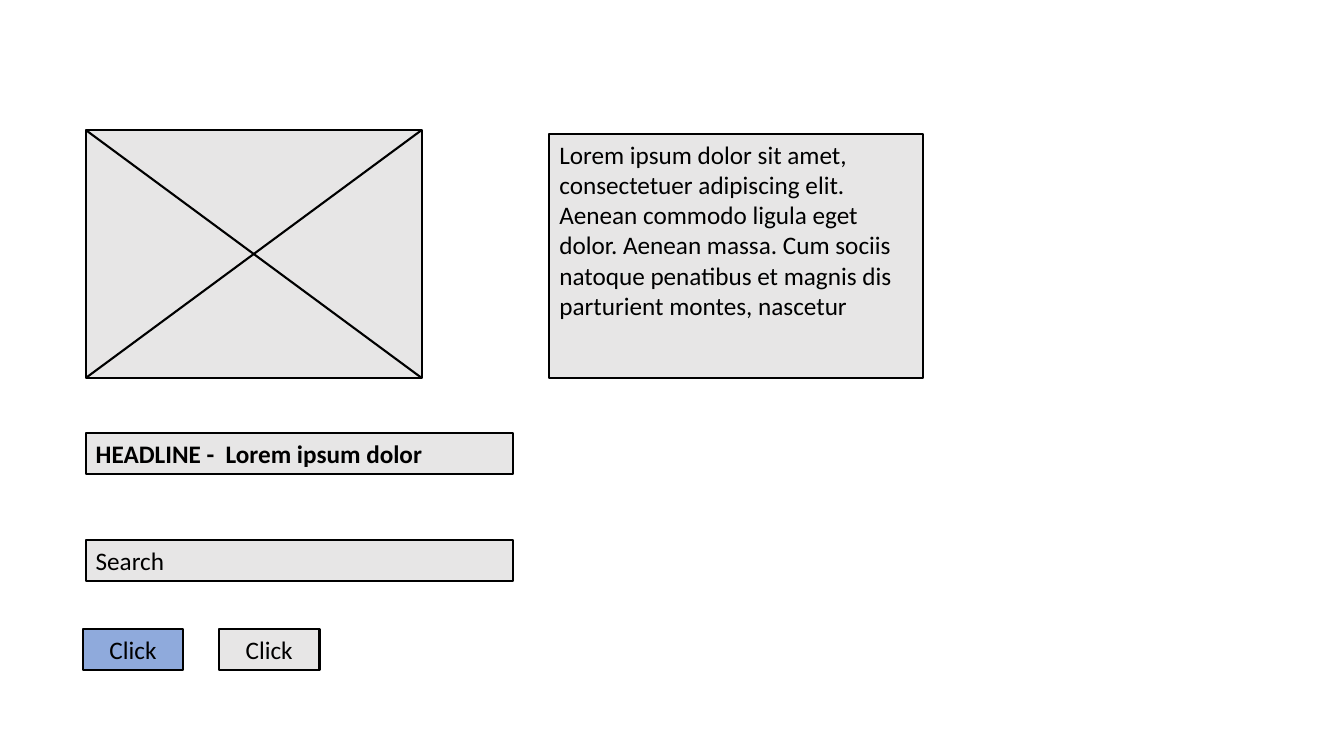
from lxml import etree
from pptx import Presentation
from pptx.dml.color import RGBColor
from pptx.enum.shapes import MSO_CONNECTOR, MSO_SHAPE
from pptx.enum.text import MSO_ANCHOR, MSO_AUTO_SIZE, PP_ALIGN
from pptx.oxml.ns import qn
from pptx.util import Inches, Pt

RECTANGLE = MSO_SHAPE.RECTANGLE
STRAIGHT = MSO_CONNECTOR.STRAIGHT
TOP = MSO_ANCHOR.TOP
FIT = MSO_AUTO_SIZE.SHAPE_TO_FIT_TEXT
FIXED = MSO_AUTO_SIZE.NONE
LEFT, CENTER = PP_ALIGN.LEFT, PP_ALIGN.CENTER

SLIDE_WIDTH, SLIDE_HEIGHT = Inches(13.333), Inches(7.5)
COLUMN, ROW = SLIDE_WIDTH / 100, SLIDE_HEIGHT / 100
BLANK_LAYOUT = 6
BLACK, GREY, BLUE = "000000", "E7E6E6", "8FAADC"
MARGIN = 6.38
FIELD_WIDTH, FIELD_HEIGHT = 31.8, 5.39
BUTTON_LEFT, BUTTON_TOP, BUTTON_WIDTH, BUTTON_STEP = 6.15, 83.2, 7.5, 10.13
BODY = (
    "Lorem ipsum dolor sit amet, consectetuer adipiscing elit. Aenean commodo "
    "ligula eget dolor. Aenean massa. Cum sociis natoque penatibus et magnis dis "
    "parturient montes, nascetur"
)


def color(value):
    """Return the colour for a hex string."""
    return RGBColor.from_string(value)


def on_grid(left, top, width, height):
    """Convert columns and rows to slide lengths."""
    return [round(n * unit) for n, unit in
            zip((left, top, width, height), (COLUMN, ROW, COLUMN, ROW))]


def apply_format(target, values):
    """Set every attribute named in a dict."""
    for name, value in values.items():
        setattr(target, name, value)


def outline(shape):
    """Give a shape or connector the wireframe line."""
    shape.line.color.rgb = color(BLACK)
    shape.line.width = Pt(1.5)


def add_box(shapes, area, fill=GREY):
    """Add an outlined rectangle on the grid."""
    shape = shapes.add_shape(RECTANGLE, *on_grid(*area))
    shape.shadow.inherit = False
    shape.fill.solid()
    shape.fill.fore_color.rgb = color(fill)
    outline(shape)
    return shape


def add_text_box(shapes, area, text, fill=GREY, alignment=LEFT, bold=False, auto_size=FIT):
    """Add a box with one paragraph of text."""
    frame = add_box(shapes, area, fill).text_frame
    apply_format(frame, {"word_wrap": True, "auto_size": auto_size, "vertical_anchor": TOP})
    paragraph = frame.paragraphs[0]
    paragraph.alignment = alignment
    run = paragraph.add_run()
    run.text = text
    apply_format(run.font, {"name": "Calibri", "size": Pt(18), "bold": bold})
    run.font.color.rgb = color(BLACK)


def add_image_placeholder(shapes, area):
    """Add a grouped box crossed by its two diagonals."""
    group = shapes.add_group_shape()
    add_box(group.shapes, area)
    left, top, width, height = on_grid(*area)
    right, bottom = left + width, top + height
    for start, end in ((left, right), (right, left)):
        diagonal = group.shapes.add_connector(STRAIGHT, start, top, end, bottom)
        outline(diagonal)
        etree.SubElement(diagonal.line._get_or_add_ln().getparent(), qn("a:effectLst"))


def main():
    """Build and save the wireframe slide."""
    presentation = Presentation()
    apply_format(presentation, {"slide_width": SLIDE_WIDTH, "slide_height": SLIDE_HEIGHT})
    slide = presentation.slides.add_slide(presentation.slide_layouts[BLANK_LAYOUT])
    shapes = slide.shapes
    add_image_placeholder(shapes, (MARGIN, 17.2, 25, 32.8))
    add_text_box(shapes, (40.88, 17.73, 27.83, 32.27), BODY, auto_size=FIXED)
    for top, text, bold in ((57.33, "HEADLINE -  Lorem ipsum dolor", True),
                            (71.47, "Search", False)):
        add_text_box(shapes, (MARGIN, top, FIELD_WIDTH, FIELD_HEIGHT), text, bold=bold)
    for index, fill in enumerate((BLUE, GREY)):
        left = BUTTON_LEFT + index * BUTTON_STEP
        add_text_box(shapes, (left, BUTTON_TOP, BUTTON_WIDTH, FIELD_HEIGHT),
                     "Click", fill, CENTER)
    presentation.save("out.pptx")


if __name__ == "__main__":
    main()
